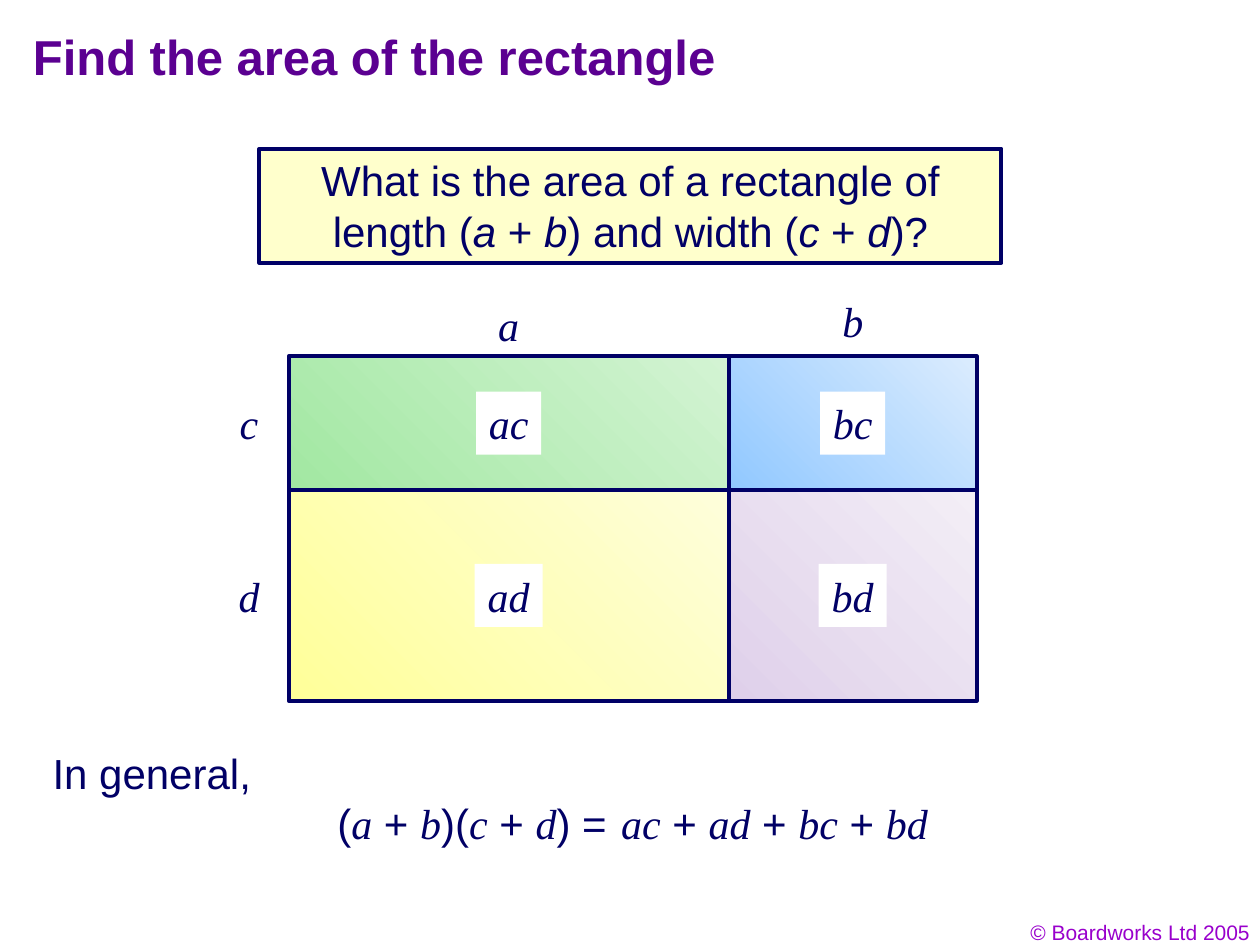
from itertools import product
from pptx import Presentation
from pptx.dml.color import RGBColor
from pptx.enum.shapes import MSO_SHAPE
from pptx.enum.text import MSO_ANCHOR, MSO_AUTO_SIZE, PP_ALIGN
from pptx.util import Cm, Pt

PURPLE = RGBColor(0x5B, 0x00, 0x91)
VIOLET = RGBColor(0x99, 0x00, 0xCC)
NAVY = RGBColor(0x01, 0x00, 0x66)
OUTLINE = RGBColor(0x00, 0x00, 0x66)
CREAM = RGBColor(0xFF, 0xFF, 0xCC)
WHITE = RGBColor(0xFF, 0xFF, 0xFF)
LIGHT_GREEN = RGBColor(0xD3, 0xF3, 0xD3)
GREEN = RGBColor(0xA2, 0xE8, 0xA2)
LIGHT_BLUE = RGBColor(0xDB, 0xEC, 0xFE)
BLUE = RGBColor(0x91, 0xC8, 0xFF)
LIGHT_YELLOW = RGBColor(0xFE, 0xFE, 0xDB)
YELLOW = RGBColor(0xFF, 0xFF, 0x99)
LIGHT_LILAC = RGBColor(0xF3, 0xEE, 0xF6)
LILAC = RGBColor(0xDF, 0xD0, 0xEA)

SANS = "Arial"
SERIF = "Times New Roman"
LABEL_HEIGHT = 1.27
COLUMNS = [("a", 5.82, 8.87, 6.55), ("b", 14.69, 5, 6.47)]
ROWS = [("c", 7.18, 2.7, 1.31), ("d", 9.88, 4.25, 1.37)]
ROW_LABEL_CENTER = 5.02
GRADIENTS = {
    "ac": (LIGHT_GREEN, GREEN),
    "bc": (LIGHT_BLUE, BLUE),
    "ad": (LIGHT_YELLOW, YELLOW),
    "bd": (LIGHT_LILAC, LILAC),
}


def write_text(shape, text, size=24, color=NAVY, variable_font=SERIF,
               align=PP_ALIGN.LEFT, wrap=False):
    """Write text in which variables stand between asterisks."""
    frame = shape.text_frame
    frame.word_wrap = wrap
    frame.auto_size = MSO_AUTO_SIZE.SHAPE_TO_FIT_TEXT
    frame.vertical_anchor = MSO_ANCHOR.TOP
    paragraph = frame.paragraphs[0]
    paragraph.alignment = align
    for index, part in enumerate(text.split("*")):
        if part:
            is_variable = index % 2 == 1
            run = paragraph.add_run()
            run.text = part
            run.font.name = variable_font if is_variable else SANS
            run.font.size = Pt(size)
            run.font.italic = is_variable
            run.font.color.rgb = color


def add_title(slide, text):
    title = slide.shapes.title
    title.left, title.top, title.width, title.height = Cm(0.41), Cm(0.41), Cm(21.59), Cm(1.7)
    frame = title.text_frame
    frame.text = text
    frame.auto_size = MSO_AUTO_SIZE.NONE
    frame.vertical_anchor = MSO_ANCHOR.TOP
    paragraph = frame.paragraphs[0]
    paragraph.alignment = PP_ALIGN.LEFT
    font = paragraph.runs[0].font
    font.name, font.size, font.bold = SANS, Pt(28), True
    font.color.rgb = PURPLE


def add_text(slide, left, top, width, text, height=LABEL_HEIGHT, **style):
    box = slide.shapes.add_textbox(Cm(left), Cm(top), Cm(width), Cm(height))
    write_text(box, text, **style)
    return box


def add_variable(slide, center_x, center_y, name, width=0.92):
    return add_text(slide, center_x - width / 2, center_y - LABEL_HEIGHT / 2, width,
                    f"*{name}*", align=PP_ALIGN.CENTER)


def add_rectangle(slide, left, top, width, height):
    rectangle = slide.shapes.add_shape(
        MSO_SHAPE.RECTANGLE, Cm(left), Cm(top), Cm(width), Cm(height))
    rectangle.shadow.inherit = False
    rectangle.line.color.rgb = OUTLINE
    rectangle.line.width = Pt(2.25)
    return rectangle


def add_question(slide):
    question = add_rectangle(slide, 5.23, 3, 14.96, 2.3)
    question.fill.solid()
    question.fill.fore_color.rgb = CREAM
    write_text(question,
               "What is the area of a rectangle of length (*a* + *b*) and width (*c* + *d*)?",
               variable_font=SANS, align=PP_ALIGN.CENTER, wrap=True)


def add_area(slide, left, top, width, height, name, label_width):
    area = add_rectangle(slide, left, top, width, height)
    area.fill.gradient()
    area.fill.gradient_angle = 225
    for stop, color in zip(area.fill.gradient_stops, GRADIENTS[name]):
        stop.color.rgb = color
    label = add_variable(slide, left + width / 2, top + height / 2, name, label_width)
    label.fill.solid()
    label.fill.fore_color.rgb = WHITE


def add_area_diagram(slide):
    for name, left, width, center_y in COLUMNS:
        add_variable(slide, left + width / 2, center_y, name)
    for name, top, height, _ in ROWS:
        add_variable(slide, ROW_LABEL_CENTER, top + height / 2, name)
    for (row, top, height, label_width), (column, left, width, _) in product(ROWS, COLUMNS):
        add_area(slide, left, top, width, height, column + row, label_width)


def main():
    presentation = Presentation()
    presentation.slide_width, presentation.slide_height = Cm(25.4), Cm(19.05)
    slide = presentation.slides.add_slide(presentation.slide_layouts[5])
    add_text(slide, 19.53, 18.42, 5.92, "© Boardworks Ltd 2005", height=0.76,
             size=12, color=VIOLET, align=PP_ALIGN.RIGHT, wrap=True)
    add_title(slide, "Find the area of the rectangle")
    add_question(slide)
    add_area_diagram(slide)
    add_text(slide, 0.81, 14.94, 4.5, "In general,")
    add_text(slide, 6.55, 15.96, 5.94, "(*a* + *b*)(*c* + *d*) =")
    add_text(slide, 12.27, 15.96, 6.72, "*ac* + *ad* + *bc* + *bd*")
    presentation.save("out.pptx")


if __name__ == "__main__":
    main()
